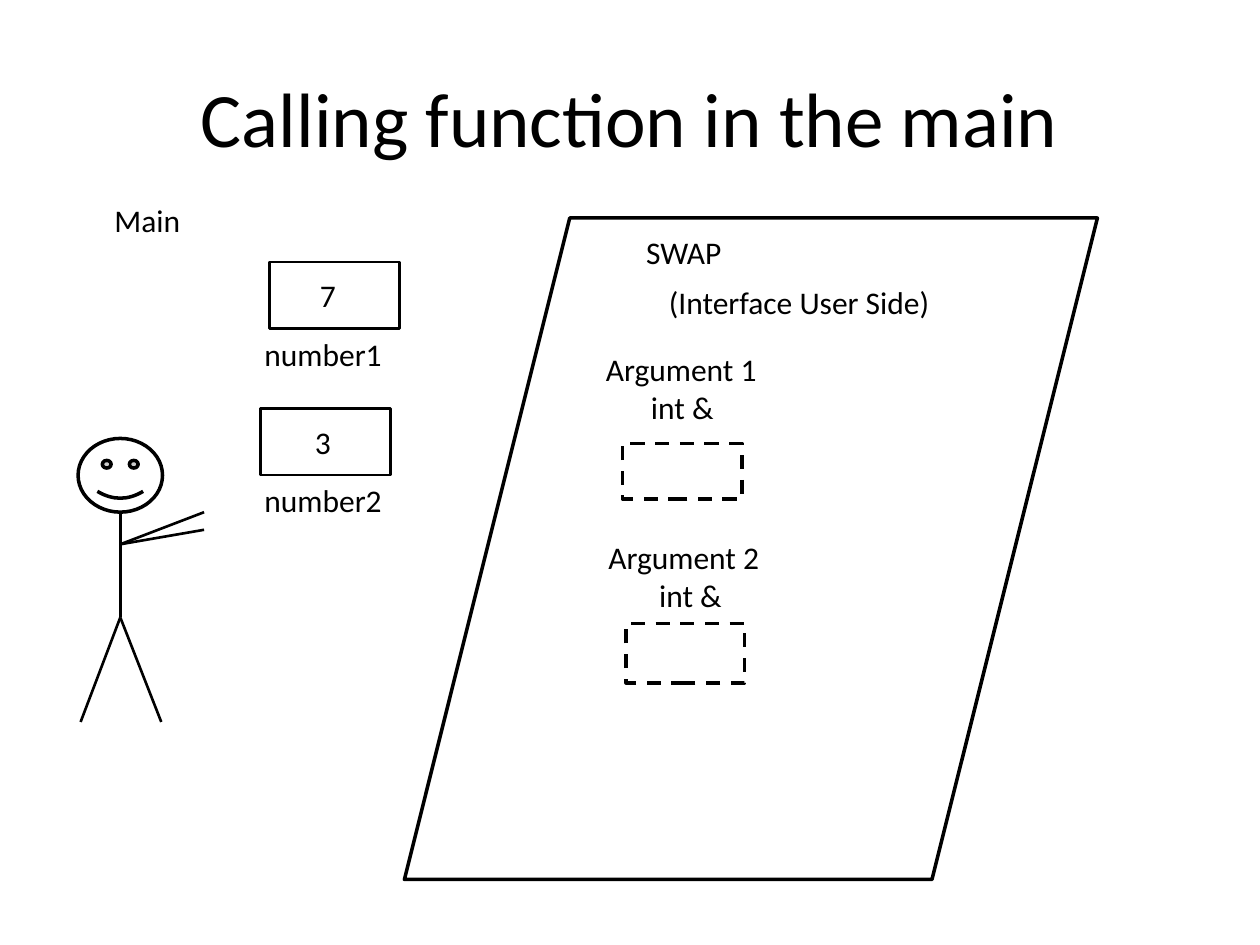
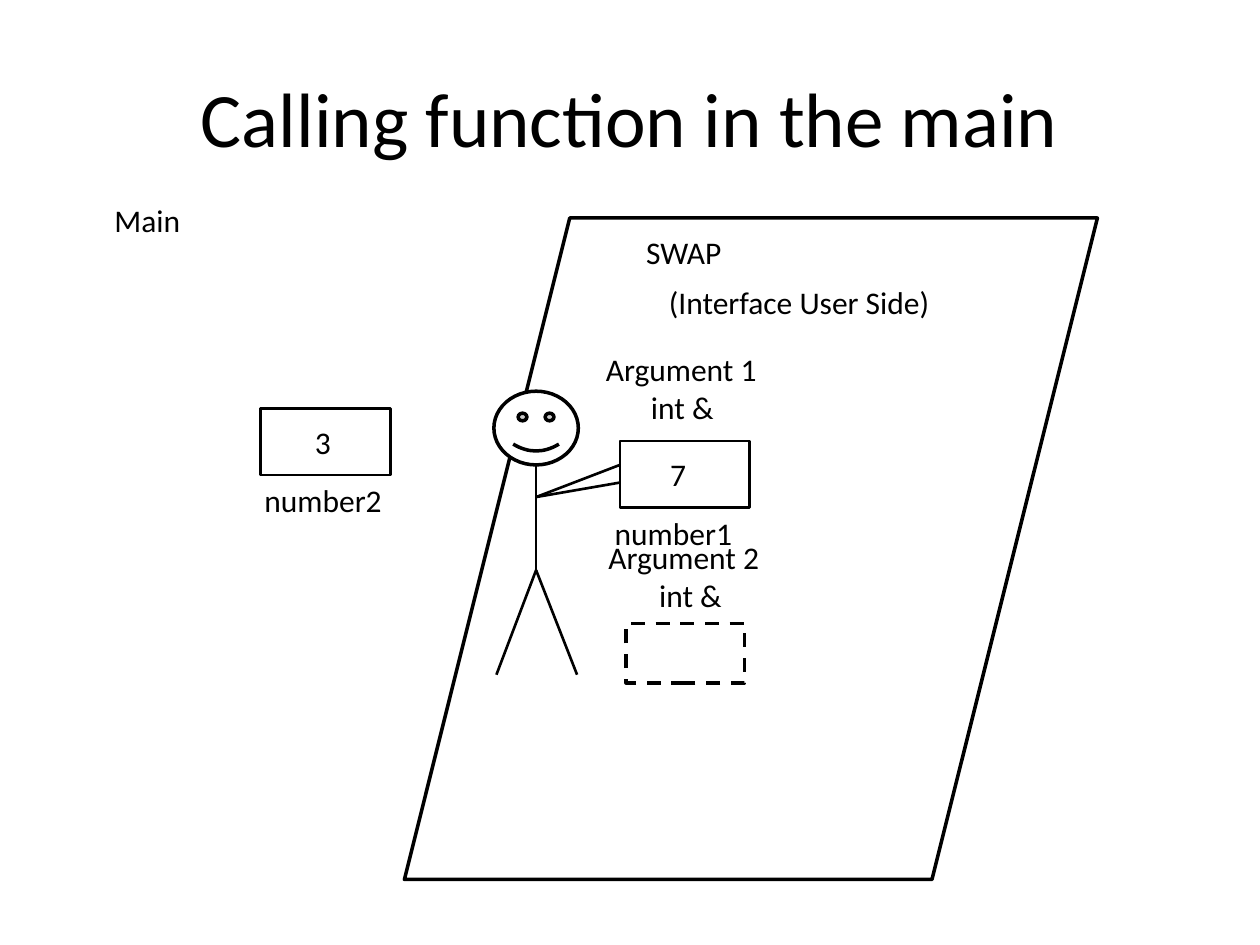
from pptx import Presentation
from pptx import util as u
from pptx.dml.color import RGBColor
from pptx.enum import dml, shapes, text
from pptx.oxml.ns import qn
from lxml import etree

COLORS = {"ink": "000000", "paper": "FFFFFF"}
FONT = "Calibri"
BODY, TITLE = 18, 44
THIN, THICK = 1.5, 2
WIDTH, HEIGHT = u.Inches(10), u.Inches(7.5)
COLS, ROWS = 100, 75
LINE_ROWS = 4  # height of a one-line label


def x(cols):
    return round(WIDTH * cols / COLS)


def y(rows):
    return round(HEIGHT * rows / ROWS)


def color(name):
    return RGBColor.from_string(COLORS[name])


def add_label(s, lines, left, top, width, height=LINE_ROWS, size=BODY,
              aligns=(text.PP_ALIGN.LEFT,), anchor=text.MSO_ANCHOR.TOP):
    tb = s.shapes.add_textbox(x(left), y(top), x(width), y(height))
    tf = tb.text_frame
    tf.word_wrap = True
    tf.vertical_anchor = anchor
    tf.text = "\n".join(lines)
    for p, align in zip(tf.paragraphs, aligns):
        p.alignment = align
        p.font.name = FONT
        p.font.size = u.Pt(size)
        p.font.color.rgb = color("ink")


def add_outline(s, kind, left, top, width, height, weight, fill=None, dashed=False):
    sp = s.shapes.add_shape(kind, x(left), y(top), x(width), y(height))
    sp.shadow.inherit = False
    if fill:
        sp.fill.solid()
        sp.fill.fore_color.rgb = color(fill)
    else:
        sp.fill.background()
    sp.line.color.rgb = color("ink")
    sp.line.width = u.Pt(weight)
    if dashed:
        sp.line.dash_style = dml.MSO_LINE.DASH


def add_line(s, x1, y1, x2, y2):
    c = s.shapes.add_connector(shapes.MSO_CONNECTOR.STRAIGHT, x(x1), y(y1), x(x2), y(y2))
    c.line.color.rgb = color("ink")
    c.line.width = u.Pt(THIN)
    etree.SubElement(c._element.spPr, qn("a:effectLst"))


def add_variable(s, name, value, left, top, name_shift, value_shift, fill=None):
    """A box holding a value, with the variable's name beneath it."""
    height = 5.3
    add_outline(s, shapes.MSO_SHAPE.RECTANGLE, left, top, 10.3, height, THIN, fill)
    add_label(s, [value], left + value_shift, top + 0.65, 3.6)
    add_label(s, [name], left + name_shift, top + height, 12.5)


def add_number1(s, left, top):
    add_variable(s, "number1", "7", left, top, -1.4, 3, "paper")


def add_number2(s):
    add_variable(s, "number2", "3", 20.7, 32.4, -0.7, 3.3)


def add_stick_figure(s, left, top):
    head_w, head_h = 6.7, 5.85
    mid, neck, shoulder = left + head_w / 2, top + head_h, top + 8.4
    hip, feet = top + 14.2, top + 22.5
    add_outline(s, shapes.MSO_SHAPE.SMILEY_FACE, left, top, head_w, head_h, THICK, "paper")
    add_line(s, mid, neck, mid, hip)
    for foot in (left + 0.2, left + 6.6):
        add_line(s, mid, hip, foot, feet)
    for hand in (neck, neck + 1.4):
        add_line(s, mid, shoulder, left + 10, hand)


def add_argument(s, number, left, top, width):
    add_label(s, [f"Argument {number}", "int &"], left, top, width, 7.1,
              aligns=(text.PP_ALIGN.LEFT, text.PP_ALIGN.CENTER))


def add_slot(s, left, top, width, height):
    add_outline(s, shapes.MSO_SHAPE.RECTANGLE, left, top, width, height, THICK, dashed=True)


def add_scene(prs):
    """A slide with everything that both steps share."""
    s = prs.slides.add_slide(prs.slide_layouts[6])
    s.background.fill.solid()
    s.background.fill.fore_color.rgb = color("paper")
    add_label(s, ["Calling function in the main"], 5, 3, 90, 12.5, TITLE,
              (text.PP_ALIGN.CENTER,), text.MSO_ANCHOR.MIDDLE)
    add_label(s, ["Main"], 8.1, 15.5, 9.2)
    add_number2(s)
    add_outline(s, shapes.MSO_SHAPE.PARALLELOGRAM, 32.1, 17.3, 55, 52.5, THICK)
    add_label(s, ["SWAP"], 50.3, 18, 20)
    add_label(s, ["(Interface User Side)"], 52.1, 22, 23.2)
    add_argument(s, 1, 47.1, 27.3, 14.1)
    add_argument(s, 2, 47.3, 42.2, 15)
    add_slot(s, 49.7, 49.5, 9.4, 4.7)
    return s


def main():
    prs = Presentation()
    prs.slide_width, prs.slide_height = WIDTH, HEIGHT

    before_call = add_scene(prs)
    add_slot(before_call, 49.4, 35.2, 9.5, 4.4)
    add_number1(before_call, 21.4, 20.8)
    add_stick_figure(before_call, 6.2, 34.8)

    passing_number1 = add_scene(prs)
    add_stick_figure(passing_number1, 39.2, 31.05)
    add_number1(passing_number1, 49.2, 35)

    prs.save("out.pptx")


if __name__ == "__main__":
    main()
